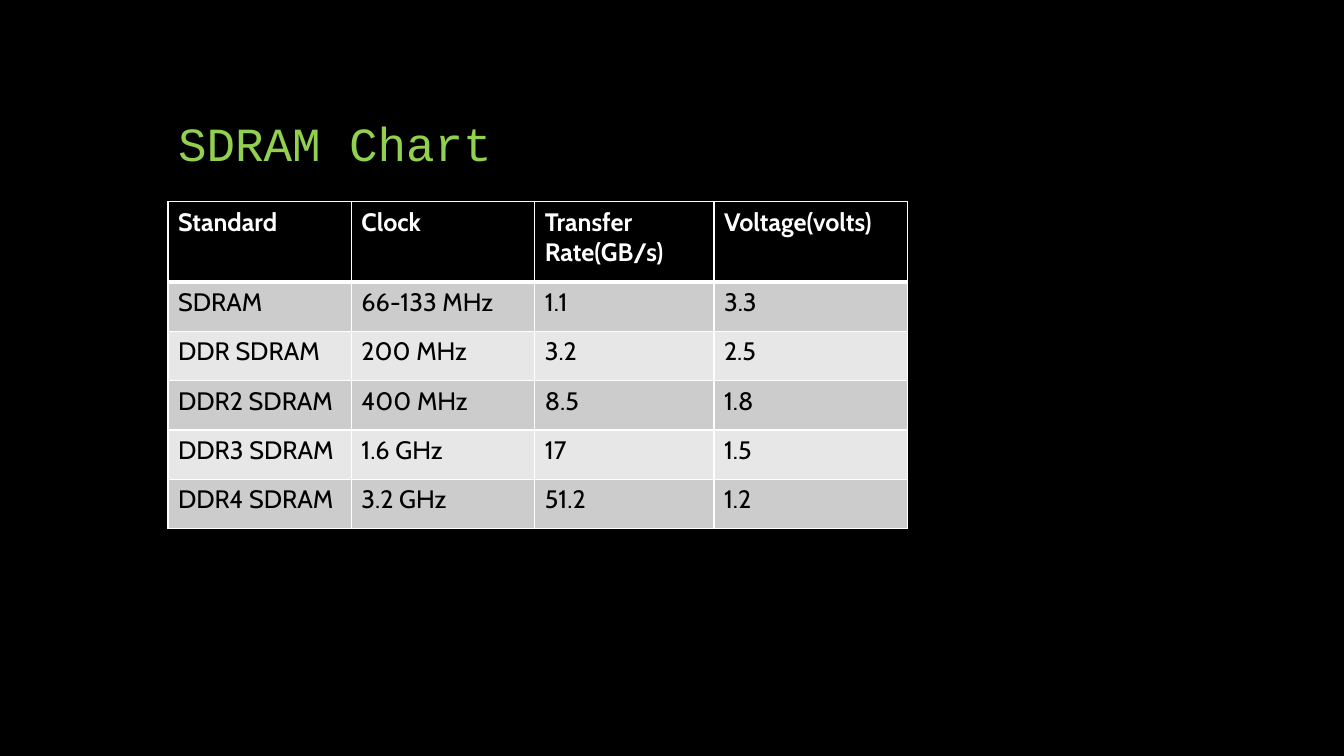
import pptx
import pptx.dml.color
import pptx.enum.text
import pptx.oxml
import pptx.oxml.ns
import pptx.util
from dataclasses import dataclass

Pt = pptx.util.Pt
Align = pptx.enum.text.PP_ALIGN
Anchor = pptx.enum.text.MSO_ANCHOR


@dataclass(frozen=True)
class Theme:
    back: str = "000000"
    title: str = "92D050"
    white: str = "FFFFFF"
    black: str = "000000"
    bands: tuple = ("CCCCCC", "E7E7E7")
    mono: str = "Courier New"
    sans: str = "Cabin"
    large: int = 34
    small: int = 18


def color(code):
    return pptx.dml.color.RGBColor.from_string(code)


def write(frame, text, font, size, ink, bold=False, space=1.0):
    par = frame.paragraphs[0]
    par.alignment = Align.LEFT
    par.line_spacing = space
    run = par.add_run()
    run.text = text
    run.font.name = font
    run.font.size = Pt(size)
    run.font.bold = bold
    run.font.color.rgb = color(ink)


class Deck:
    def __init__(self, theme, wide, high):
        self.theme = theme
        self.file = pptx.Presentation()
        self.file.slide_width = Pt(wide)
        self.file.slide_height = Pt(high)
        self.slide = None

    def page(self):
        self.slide = self.file.slides.add_slide(self.file.slide_layouts[5])
        fill = self.slide.background.fill
        fill.solid()
        fill.fore_color.rgb = color(self.theme.back)

    def title(self, text, left, top, wide, high):
        look = self.theme
        box = self.slide.shapes.title
        box.left, box.top = Pt(left), Pt(top)
        box.width, box.height = Pt(wide), Pt(high)
        frame = box.text_frame
        frame.word_wrap = True
        frame.auto_size = pptx.enum.text.MSO_AUTO_SIZE.NONE
        frame.vertical_anchor = Anchor.BOTTOM
        write(frame, text, font=look.mono, size=look.large, ink=look.title, space=0.9)

    def border(self, cell, top, base):
        props = cell._tc.get_or_add_tcPr()
        for side, width in (("L", 1), ("R", 1), ("T", top), ("B", base)):
            props.append(pptx.oxml.parse_xml(
                f'<a:ln{side} {pptx.oxml.ns.nsdecls("a")} w="{Pt(width)}">'
                f'<a:solidFill><a:srgbClr val="{self.theme.white}"/></a:solidFill>'
                f'</a:ln{side}>'))

    def table(self, data, left, top, cols, rows):
        look = self.theme
        grid = self.slide.shapes.add_table(
            len(rows), len(cols), Pt(left), Pt(top), Pt(sum(cols)), Pt(sum(rows))).table
        for col, wide in zip(grid.columns, cols):
            col.width = Pt(wide)
        for i, (row, high, line) in enumerate(zip(grid.rows, rows, data)):
            row.height = Pt(high)
            head = i == 0
            for cell, text in zip(row.cells, line):
                # Borders come before the fill in the cell's XML
                self.border(cell, top=3 if i == 1 else 1, base=3 if head else 1)
                cell.fill.solid()
                cell.fill.fore_color.rgb = color(look.black if head else look.bands[(i - 1) % 2])
                write(cell.text_frame, text, font=look.sans, size=look.small,
                      ink=look.white if head else look.black, bold=head)


# Table content
DATA = [
    ("Standard", "Clock", "Transfer Rate(GB/s)", "Voltage(volts)"),
    ("SDRAM", "66-133 MHz", "1.1", "3.3"),
    ("DDR SDRAM", "200 MHz", "3.2", "2.5"),
    ("DDR2 SDRAM", "400 MHz", "8.5", "1.8"),
    ("DDR3 SDRAM", "1.6 GHz", "17", "1.5"),
    ("DDR4 SDRAM", "3.2 GHz", "51.2", "1.2"),
]


def main():
    deck = Deck(Theme(), wide=960, high=540)
    deck.page()
    # Heading
    deck.title("SDRAM Chart", left=120, top=36, wide=720, high=90)
    # Memory standards
    deck.table(DATA, left=120, top=144, cols=[131, 131, 128, 138],
               rows=[57.6] + [35.2] * (len(DATA) - 1))
    deck.file.save("out.pptx")


if __name__ == "__main__":
    main()
